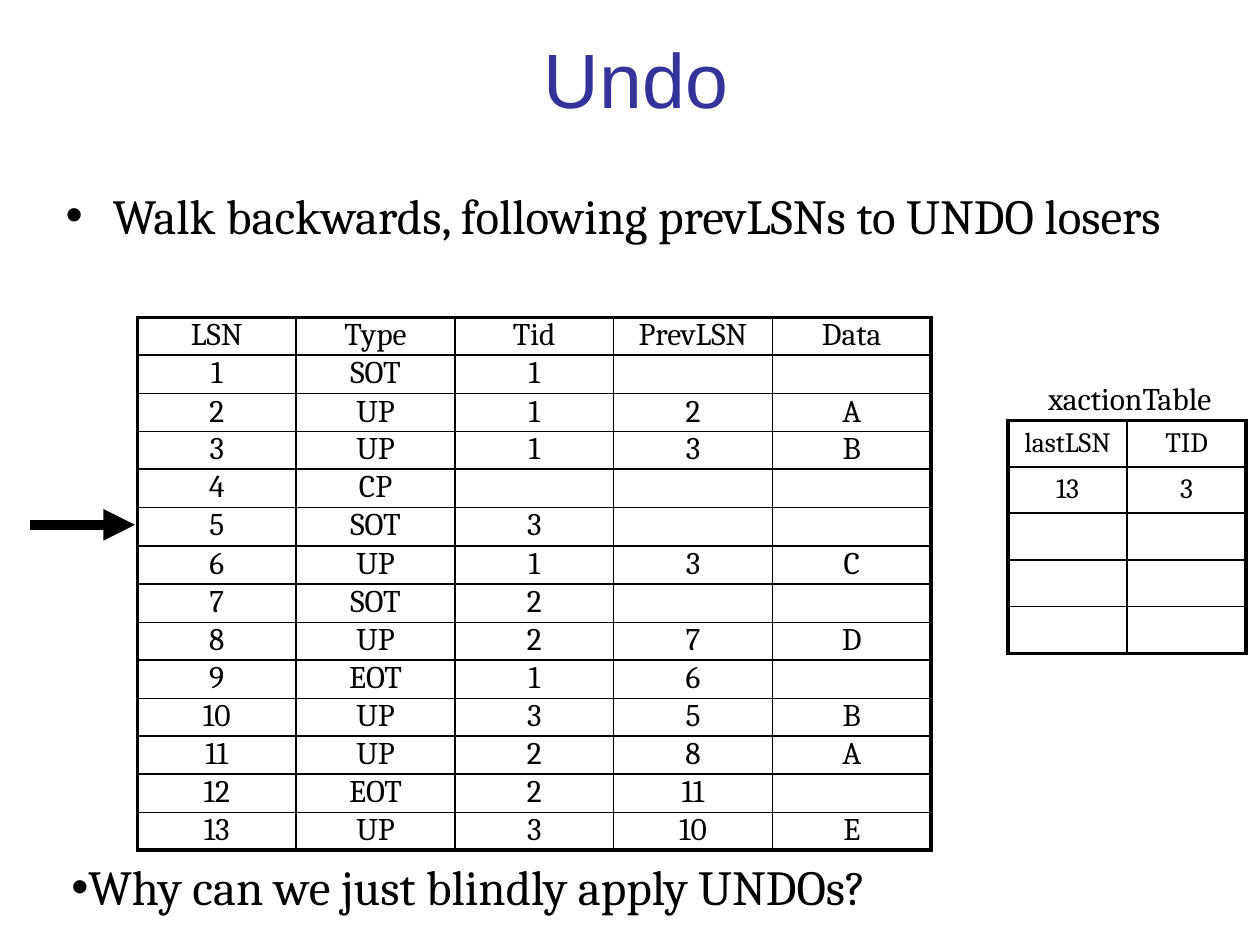
"""Build the "Undo" recovery slide with its log and transaction tables."""
from lxml.etree import SubElement
from pptx import Presentation
from pptx.dml.color import RGBColor
from pptx.enum.shapes import MSO_CONNECTOR as Connector
from pptx.enum.text import MSO_ANCHOR as Anchor, MSO_AUTO_SIZE as AutoSize, PP_ALIGN as Align
from pptx.oxml.ns import qn
from pptx.util import Cm, Pt

TITLE = "Undo"
STEP = "Walk backwards, following prevLSNs to UNDO losers"
QUESTION = "Why can we just blindly apply UNDOs?"
XACTION_LABEL = "xactionTable"
LOG = [
    ("LSN", "Type", "Tid", "PrevLSN", "Data"),
    ("1", "SOT", "1", "", ""),
    ("2", "UP", "1", "2", "A"),
    ("3", "UP", "1", "3", "B"),
    ("4", "CP", "", "", ""),
    ("5", "SOT", "3", "", ""),
    ("6", "UP", "1", "3", "C"),
    ("7", "SOT", "2", "", ""),
    ("8", "UP", "2", "7", "D"),
    ("9", "EOT", "1", "6", ""),
    ("10", "UP", "3", "5", "B"),
    ("11", "UP", "2", "8", "A"),
    ("12", "EOT", "2", "11", ""),
    ("13", "UP", "3", "10", "E"),
]
XACTIONS = [("lastLSN", "TID"), ("13", "3"), ("", ""), ("", ""), ("", "")]
CURRENT_LSN = 5

COLORS = {"title": "333399", "ink": "000000", "paper": "FFFFFF"}
THICK, THIN = Pt(2.25), Pt(1)
LOG_LEFT, LOG_TOP, LOG_ROW = 2.77, 6.4, 0.76


def rgb(name):
    return RGBColor.from_string(COLORS[name])


def write(paragraph, text, size, face="Cambria", color="ink"):
    run = paragraph.add_run()
    run.text = text
    for key, value in {"size": Pt(size), "name": face}.items():
        setattr(run.font, key, value)
    run.font.color.rgb = rgb(color)


def add_bullet(paragraph, margin=0, indent=0):
    props = paragraph._p.get_or_add_pPr()
    props.set("marL", str(Cm(margin)))
    props.set("indent", str(Cm(indent)))
    SubElement(props, qn("a:buFont"), typeface="Arial")
    SubElement(props, qn("a:buChar"), char="•")


def add_borders(cell, widths):
    props = cell._tc.get_or_add_tcPr()
    for position, (side, width) in enumerate(widths.items()):
        line = props.makeelement(qn(f"a:{side}"), {"w": str(width)})
        props.insert(position, line)
        SubElement(SubElement(line, qn("a:solidFill")), qn("a:srgbClr"), val=COLORS["ink"])


def add_grid(rows, left, top, col_width, row_height, size, margins, fill):
    n_rows, n_cols = len(rows), len(rows[0])
    grid = slide.shapes.add_table(n_rows, n_cols, Cm(left), Cm(top),
                                  Cm(col_width * n_cols), Cm(row_height * n_rows)).table
    grid.first_row = grid.horz_banding = False
    for column in grid.columns:
        column.width = Cm(col_width)
    for r, values in enumerate(rows):
        grid.rows[r].height = Cm(row_height)
        for c, value in enumerate(values):
            cell = grid.cell(r, c)
            for key, length in margins.items():
                setattr(cell, key, Cm(length))
            if fill:
                cell.fill.solid()
                cell.fill.fore_color.rgb = rgb(fill)
            else:
                cell.fill.background()
            add_borders(cell, {
                "lnL": THIN if c else THICK,
                "lnR": THICK if c == n_cols - 1 else THIN,
                "lnT": THIN if r else THICK,
                "lnB": THICK if r == n_rows - 1 else THIN,
            })
            paragraph = cell.text_frame.paragraphs[0]
            paragraph.alignment = Align.CENTER
            if value:
                write(paragraph, value, size)
            else:
                SubElement(paragraph._p, qn("a:endParaRPr"), sz=str(size * 100))


def add_label(text, left, top, width, height, size):
    frame = slide.shapes.add_textbox(Cm(left), Cm(top), Cm(width), Cm(height)).text_frame
    frame.word_wrap = False
    frame.auto_size = AutoSize.SHAPE_TO_FIT_TEXT
    write(frame.paragraphs[0], text, size)
    return frame.paragraphs[0]


def place(placeholder, left, top, width, height):
    for key, value in {"left": left, "top": top, "width": width, "height": height}.items():
        setattr(placeholder, key, Cm(value))
    return placeholder.text_frame


deck = Presentation()
deck.slide_width, deck.slide_height = Cm(25.4), Cm(19.05)
slide = deck.slides.add_slide(deck.slide_layouts[1])

heading = place(slide.shapes.title, 1.07, 0.2, 23.5, 2.74)
heading.vertical_anchor = Anchor.MIDDLE
heading.paragraphs[0].alignment = Align.CENTER
write(heading.paragraphs[0], TITLE, 44, "Arial", "title")

step = place(slide.placeholders[1], 1.07, 3.61, 23.5, 13.34).paragraphs[0]
add_bullet(step, 0.95, -0.95)
write(step, STEP, 28)

add_grid(LOG, LOG_LEFT, LOG_TOP, 3.2, LOG_ROW, 18,
         {"margin_left": 0.13, "margin_right": 0.13, "margin_top": 0, "margin_bottom": 0}, None)

pointer_y = Cm(LOG_TOP + (CURRENT_LSN + 0.5) * LOG_ROW)
pointer = slide.shapes.add_connector(Connector.STRAIGHT, Cm(0.61), pointer_y,
                                     Cm(LOG_LEFT - 0.05), pointer_y)
pointer.line.width = Pt(6)
pointer.line.color.rgb = rgb("ink")
SubElement(pointer.line._get_or_add_ln(), qn("a:tailEnd"), type="triangle")
SubElement(pointer._element.spPr, qn("a:effectLst"))

add_grid(XACTIONS, 20.32, 8.48, 2.4, 0.93, 16, {}, "paper")
add_label(XACTION_LABEL, 20.88, 7.52, 3.84, 1.02, 18)
add_bullet(add_label(QUESTION, 1.19, 17.15, 16.87, 1.45, 28))

deck.save("out.pptx")
